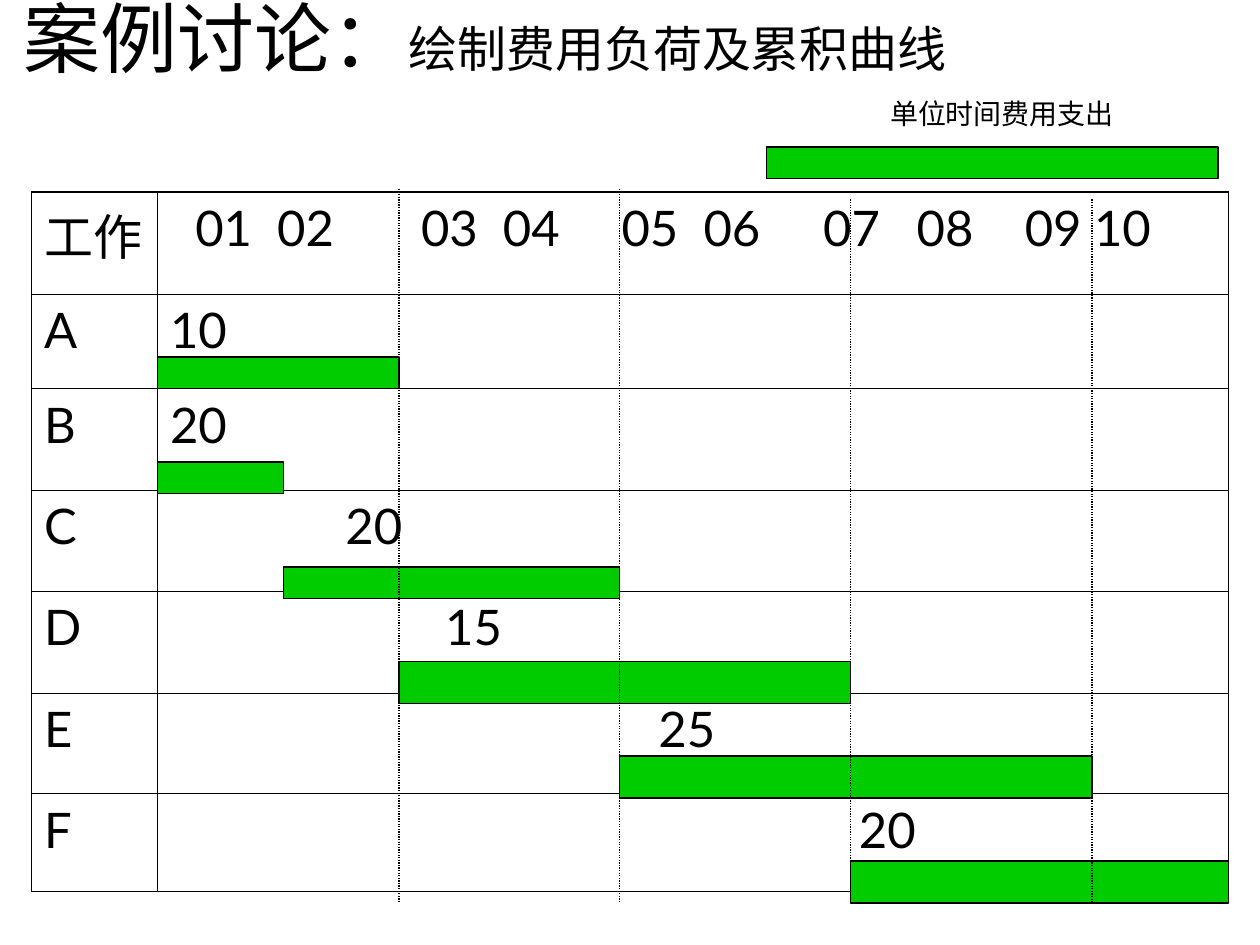
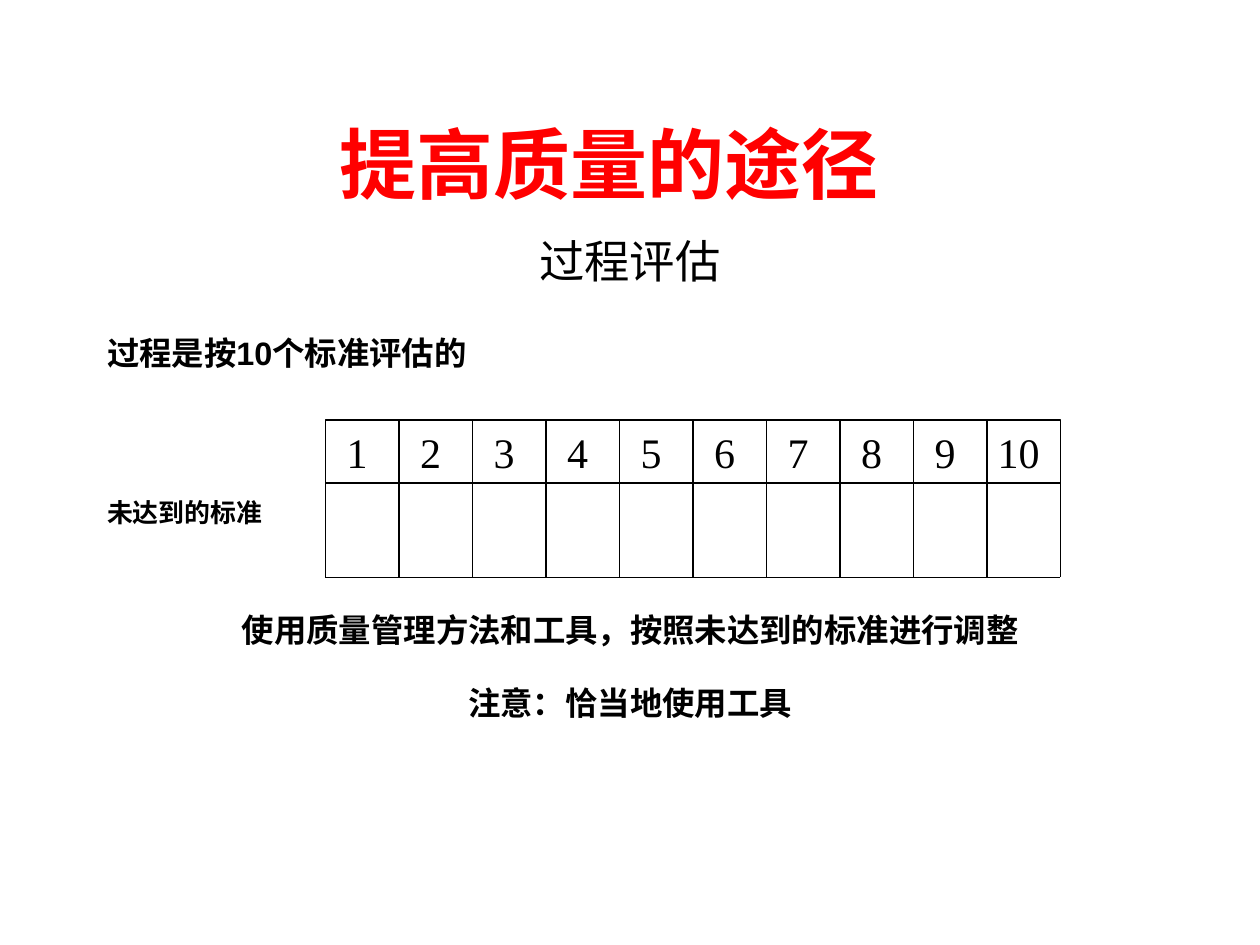
"""Build two slides: a cost-load Gantt chart and a process assessment grid."""
from dataclasses import dataclass
from lxml import etree
from pptx import Presentation
from pptx import util as u
from pptx.dml.color import RGBColor
from pptx.enum import dml, shapes, text
from pptx.oxml import ns


@dataclass(frozen=True)
class Theme:
    black: str = "000000"
    white: str = "FFFFFF"
    bar: str = "00CC00"
    accent: str = "FF0000"
    sans: str = "Lato"
    body: str = "Arial"
    serif: str = "Times New Roman"
    title: float = 44
    large: float = 28
    lead: float = 25.9
    number: float = 24
    point: float = 18.5
    legend: float = 16
    label: float = 14.8
    line: float = 0.75
    outer: float = 1.08
    inner: float = 0.45


T = Theme()
PX = 7620
LEFT, CENTER = text.PP_ALIGN.LEFT, text.PP_ALIGN.CENTER

GANTT_TITLE = [("案例讨论：", T.title), ("绘制费用负荷及累积曲线", T.large)]
LEGEND = "单位时间费用支出"
MONTHS = [(24, "01"), (102, "02"), (239, "03"), (317, "04"), (430, "05"),
          (508, "06"), (622, "07"), (711, "08"), (814, "09"), (880, "10")]
GANTT_ROWS = [("工作", MONTHS), ("A", [(0, "10")]), ("B", [(0, "20")]), ("C", [(167, "20")]),
              ("D", [(262, "15")]), ("E", [(465, "25")]), ("F", [(656, "20")])]
GANTT_COLS = [120, 1020]
GANTT_HEIGHTS = [97, 90, 97, 96, 97, 96, 93]
BARS = [(150, 340, 230, 30), (150, 440, 120, 30), (270, 540, 320, 30), (380, 630, 430, 40),
        (590, 720, 450, 40), (810, 820, 360, 40), (730, 140, 430, 30)]
GUIDES = [(380, 180), (590, 180), (810, 190), (1040, 190)]
GUIDE_END = 860

QUALITY_TITLE = "提高质量的途径"
QUALITY_LINES = [
    ("过程评估", T.lead, False, CENTER, 23, 0),
    ("过程是按10个标准评估的", T.point, True, LEFT, 20, 28),
    ("未达到的标准", T.label, True, LEFT, 16, 73),
    ("使用质量管理方法和工具，按照未达到的标准进行调整", T.point, True, CENTER, 20, 49),
    ("注意：恰当地使用工具", T.point, True, CENTER, 20, 22),
]
GRID_X, GRID_Y, GRID_STEP, GRID_COUNT = 310, 400, 70, 10
GRID_HEAD, GRID_BOTTOM, NUMBER_X = 60, 550, 30


def px(*values):
    return [u.Emu(v * PX) for v in values]


def put(obj, **values):
    for name, value in values.items():
        setattr(obj, name, value)


def add_run(p, content, size, font, color=T.black, bold=False):
    r = p.add_run()
    r.text = content
    put(r.font, name=font, size=u.Pt(size), bold=bold)
    r.font.color.rgb = RGBColor.from_string(color)


def add_tabs(p, stops, align):
    tabs = etree.SubElement(p._p.get_or_add_pPr(), ns.qn("a:tabLst"))
    for x in stops:
        etree.SubElement(tabs, ns.qn("a:tab"), pos=str(x * PX), algn=align)


def place(sp, box, anchor):
    put(sp, **dict(zip(("left", "top", "width", "height"), px(*box))))
    put(sp.text_frame, word_wrap=True, auto_size=text.MSO_AUTO_SIZE.NONE, vertical_anchor=anchor)
    return sp.text_frame


def add_title(s, box, parts, align, color=T.black, bold=False):
    p = place(s.shapes.title, box, text.MSO_ANCHOR.MIDDLE).paragraphs[0]
    p.alignment = align
    for content, size in parts:
        add_run(p, content, size, T.sans, color, bold)


def add_rect(s, box, color):
    sp = s.shapes.add_shape(shapes.MSO_SHAPE.RECTANGLE, *px(*box))
    sp.shadow.inherit = False
    sp.fill.solid()
    sp.fill.fore_color.rgb = RGBColor.from_string(color)
    sp.line.color.rgb = RGBColor.from_string(T.black)
    sp.line.width = u.Pt(T.line)
    return sp


def add_line(s, x1, y1, x2, y2, dash=None):
    line = s.shapes.add_connector(shapes.MSO_CONNECTOR.STRAIGHT, *px(x1, y1, x2, y2))
    line.line.color.rgb = RGBColor.from_string(T.black)
    put(line.line, width=u.Pt(T.line), dash_style=dash)
    etree.SubElement(line._element.spPr, ns.qn("a:effectLst"))
    return line


def set_borders(cell, outer_sides):
    tc_pr = cell._tc.get_or_add_tcPr()
    for i, side in enumerate("LRTB"):
        width = T.outer if side in outer_sides else T.inner
        ln = etree.Element(ns.qn(f"a:ln{side}"), w=str(u.Pt(width)))
        fill = etree.SubElement(ln, ns.qn("a:solidFill"))
        etree.SubElement(fill, ns.qn("a:srgbClr"), val=T.black)
        tc_pr.insert(i, ln)


def fill_cell(cell, items, outer_sides):
    cell.fill.solid()
    cell.fill.fore_color.rgb = RGBColor.from_string(T.white)
    set_borders(cell, outer_sides)
    p = cell.text_frame.paragraphs[0]
    p.space_before = u.Pt(7)
    add_tabs(p, [x for x, _ in items if x], "l")
    add_run(p, "".join("\t" * bool(x) + word for x, word in items), T.large, T.sans)


def add_gantt_table(s):
    size = sum(GANTT_COLS), sum(GANTT_HEIGHTS)
    table = s.shapes.add_table(len(GANTT_ROWS), 2, *px(30, 183, *size)).table
    put(table, first_row=False, horz_banding=False)
    for col, width in zip(table.columns, px(*GANTT_COLS)):
        col.width = width
    for row, height in zip(table.rows, px(*GANTT_HEIGHTS)):
        row.height = height
    last = len(GANTT_ROWS) - 1
    for i, (task, values) in enumerate(GANTT_ROWS):
        edge = {0: "T", last: "B"}.get(i, "")
        fill_cell(table.cell(i, 0), [(0, task)], "L" + edge)
        fill_cell(table.cell(i, 1), values, "R" + edge)


def gantt_slide(prs):
    s = prs.slides.add_slide(prs.slide_layouts[5])
    add_title(s, (10, -40, 1020, 150), GANTT_TITLE, LEFT)
    add_gantt_table(s)
    for box in BARS:
        add_rect(s, box, T.bar)
    for x, top in GUIDES:
        add_line(s, x, top, x, GUIDE_END, dml.MSO_LINE.ROUND_DOT)
    tf = s.shapes.add_textbox(*px(836, 86, 236, 44)).text_frame
    put(tf, word_wrap=True, margin_right=0)
    add_run(tf.paragraphs[0], LEGEND, T.legend, T.serif)


def add_body(s):
    tf = place(s.placeholders[1], (90, 230, 1020, 540), text.MSO_ANCHOR.TOP)
    for i, (content, size, bold, align, height, gap) in enumerate(QUALITY_LINES):
        p = tf.add_paragraph() if i else tf.paragraphs[0]
        put(p, alignment=align, line_spacing=u.Pt(height), space_before=u.Pt(gap))
        p_pr = p._p.get_or_add_pPr()
        p_pr.set("marL", "0")
        p_pr.set("indent", "0")
        etree.SubElement(p_pr, ns.qn("a:buNone"))
        add_run(p, content, size, T.body, bold=bold)


def add_grid(s):
    right = GRID_X + GRID_STEP * GRID_COUNT
    head = add_rect(s, (GRID_X, GRID_Y, right - GRID_X, GRID_HEAD), T.white)
    put(head.text_frame, margin_left=0, margin_right=0)
    p = head.text_frame.paragraphs[0]
    p.alignment = LEFT
    add_tabs(p, [NUMBER_X + GRID_STEP * i for i in range(GRID_COUNT)], "ctr")
    add_run(p, "".join(f"\t{n}" for n in range(1, GRID_COUNT + 1)), T.number, T.serif)
    for i in range(GRID_COUNT + 1):
        x = GRID_X + GRID_STEP * i
        line = add_line(s, x, GRID_Y, x, GRID_BOTTOM)
        if 2 * i == GRID_COUNT:
            line.begin_connect(head, 0)
    add_line(s, GRID_X, GRID_BOTTOM, right, GRID_BOTTOM)


def quality_slide(prs):
    s = prs.slides.add_slide(prs.slide_layouts[1])
    add_title(s, (70, 80, 1020, 150), [(QUALITY_TITLE, T.title)], CENTER, T.accent, True)
    add_body(s)
    add_grid(s)


def main():
    prs = Presentation()
    put(prs, slide_width=u.Emu(1200 * PX), slide_height=u.Emu(900 * PX))
    gantt_slide(prs)
    quality_slide(prs)
    prs.save("out.pptx")


if __name__ == "__main__":
    main()
